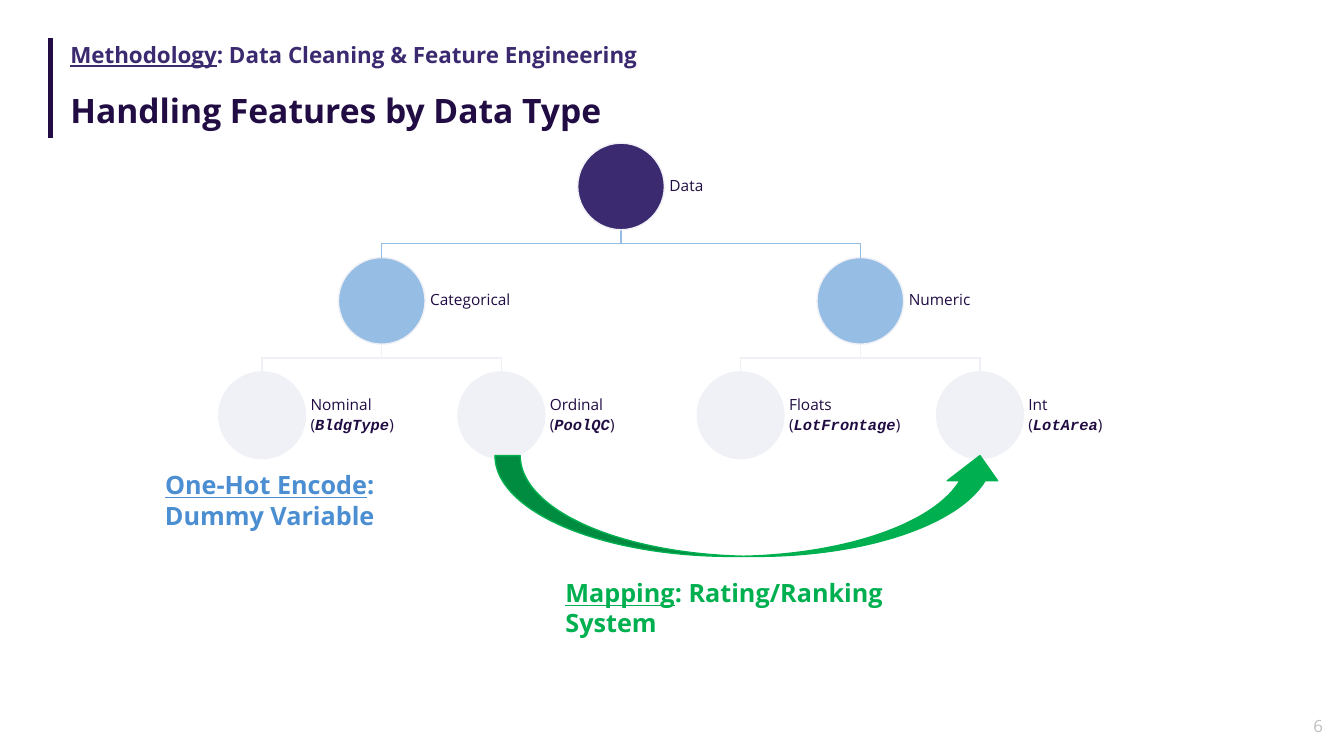
from dataclasses import dataclass

from lxml.etree import SubElement
from pptx import Presentation
from pptx.dml.color import RGBColor
from pptx.enum.shapes import MSO_CONNECTOR, MSO_SHAPE
from pptx.enum.text import MSO_ANCHOR, PP_ALIGN
from pptx.oxml.ns import qn
from pptx.util import Inches, Pt


@dataclass(frozen=True)
class Theme:
    ink: str = "210D43"
    purple: str = "3C2A70"
    sky: str = "96BDE4"
    mist: str = "F0F1F7"
    blue: str = "4B8ED1"
    green: str = "00B050"
    gray: str = "BFBFBF"
    font: str = "Open Sans"
    code_font: str = "Courier New"
    title_size: int = 24
    callout_size: int = 18
    section_size: int = 16
    number_size: int = 12
    label_size: int = 11


@dataclass(frozen=True)
class Box:
    left: float
    top: float
    width: float
    height: float

    def lengths(self):
        return [Inches(value) for value in (self.left, self.top, self.width, self.height)]


THEME = Theme()
UNDERLINE = {"underline": True}
CODE = {"name": THEME.code_font, "bold": True, "italic": True}
TREE = ("Data", None, [
    ("Categorical", None, [("Nominal", "BldgType", []), ("Ordinal", "PoolQC", [])]),
    ("Numeric", None, [("Floats", "LotFrontage", []), ("Int", "LotArea", [])]),
])
LEVEL_COLORS = (THEME.purple, THEME.sky, THEME.mist)
NODE_SIZE = 0.86
LABEL_WIDTH = 1.29


def add_text(slide, box, paragraphs, size, color, bold=False, align=PP_ALIGN.LEFT,
             anchor=MSO_ANCHOR.TOP, line_spacing=1.0, space_after=0, inset=None):
    shape = slide.shapes.add_textbox(*box.lengths())
    frame = shape.text_frame
    frame.word_wrap = True
    frame.vertical_anchor = anchor
    if inset is not None:
        frame.margin_left = frame.margin_right = Inches(inset)
        frame.margin_top = frame.margin_bottom = Inches(inset)
    for index, runs in enumerate(paragraphs):
        paragraph = frame.add_paragraph() if index else frame.paragraphs[0]
        paragraph.alignment = align
        paragraph.line_spacing = line_spacing
        paragraph.space_after = Pt(space_after)
        for text, changes in runs:
            run = paragraph.add_run()
            run.text = text
            run.font.name = changes.get("name", THEME.font)
            run.font.size = Pt(size)
            run.font.bold = changes.get("bold", bold)
            run.font.italic = changes.get("italic", False)
            run.font.underline = changes.get("underline", False)
            run.font.color.rgb = RGBColor.from_string(color)


def paint(shape, line, fill=None):
    shape.shadow.inherit = False
    if fill:
        shape.fill.solid()
        shape.fill.fore_color.rgb = RGBColor.from_string(fill)
    else:
        shape.fill.background()
    shape.line.color.rgb = RGBColor.from_string(line)
    shape.line.width = Pt(1)


def add_header(slide, box):
    rule = slide.shapes.add_connector(
        MSO_CONNECTOR.STRAIGHT, Inches(box.left), Inches(box.top),
        Inches(box.left), Inches(box.top + box.height))
    rule.line.color.rgb = RGBColor.from_string(THEME.ink)
    rule.line.width = Pt(3)
    SubElement(rule._element.spPr, qn("a:effectLst"))
    text_left, text_width = box.left + 0.1, box.width - 0.1
    add_text(slide, Box(text_left, box.top + 0.01, text_width, 0.43),
             [[("Methodology", UNDERLINE), (": Data Cleaning & Feature Engineering", {})]],
             THEME.section_size, THEME.purple, bold=True, line_spacing=0.9)
    add_text(slide, Box(text_left, box.top + 0.48, text_width, 0.51),
             [[("Handling Features by Data Type", {})]],
             THEME.title_size, THEME.ink, bold=True, anchor=MSO_ANCHOR.MIDDLE, line_spacing=0.9)


def add_branch(slide, parent, child, color):
    start_x, start_y = parent.left + NODE_SIZE / 2, parent.top + NODE_SIZE
    end_x, end_y = child.left + NODE_SIZE / 2, child.top
    middle_y = (start_y + end_y) / 2
    builder = slide.shapes.build_freeform(Inches(start_x), Inches(start_y))
    corners = [(start_x, middle_y), (end_x, middle_y), (end_x, end_y)]
    builder.add_line_segments([(Inches(x), Inches(y)) for x, y in corners], close=False)
    paint(builder.convert_to_shape(), color)


def add_node(slide, box, name, feature, color):
    circle = slide.shapes.add_shape(MSO_SHAPE.OVAL, *box.lengths())
    paint(circle, THEME.mist, color)
    paragraphs = [[(name, {})]]
    if feature:
        paragraphs.append([("(", {}), (feature, CODE), (")", {})])
    add_text(slide, Box(box.left + NODE_SIZE, box.top, LABEL_WIDTH, NODE_SIZE), paragraphs,
             THEME.label_size, THEME.ink, anchor=MSO_ANCHOR.MIDDLE,
             line_spacing=0.9, space_after=2, inset=0.05)


def count_leaves(node):
    return sum(map(count_leaves, node[2])) or 1


def add_tree(slide, box, root):
    column_gap = (box.width - NODE_SIZE - LABEL_WIDTH) / (count_leaves(root) - 1)
    row_gap = (box.height - NODE_SIZE) / (len(LEVEL_COLORS) - 1)

    def place(node, first_leaf, level):
        name, feature, children = node
        left = box.left + column_gap * (first_leaf + (count_leaves(node) - 1) / 2)
        node_box = Box(left, box.top + row_gap * level, NODE_SIZE, NODE_SIZE)
        for child in children:
            child_box = place(child, first_leaf, level + 1)
            add_branch(slide, node_box, child_box, LEVEL_COLORS[level + 1])
            first_leaf += count_leaves(child)
        add_node(slide, node_box, name, feature, LEVEL_COLORS[level])
        return node_box

    place(root, 0, 0)


def add_encoding_note(slide, box):
    add_text(slide, box, [[("One-Hot Encode", UNDERLINE), (": Dummy Variable", {})]],
             THEME.callout_size, THEME.blue, bold=True, align=PP_ALIGN.CENTER)


def add_mapping(slide, box):
    arrow = slide.shapes.add_shape(
        MSO_SHAPE.CURVED_UP_ARROW, *Box(box.left, box.top, box.width, 1).lengths())
    paint(arrow, THEME.green, THEME.green)
    add_text(slide, Box(box.left + 0.6, box.top + 1.16, 4.26, box.height - 1.16),
             [[("Mapping", UNDERLINE), (": Rating/Ranking System", {})]],
             THEME.callout_size, THEME.green, bold=True)


def add_slide_number(slide, box):
    add_text(slide, box, [[("6", {})]], THEME.number_size, THEME.gray,
             align=PP_ALIGN.RIGHT, anchor=MSO_ANCHOR.MIDDLE)


def main():
    presentation = Presentation()
    presentation.slide_width = Inches(13.33)
    presentation.slide_height = Inches(7.5)
    slide = presentation.slides.add_slide(presentation.slide_layouts[6])
    add_header(slide, Box(0.5, 0.38, 11.6, 0.99))
    add_slide_number(slide, Box(12.72, 7.01, 0.5, 0.38))
    add_tree(slide, Box(2.17, 1.42, 9.27, 3.13), TREE)
    add_mapping(slide, Box(4.91, 4.52, 5.06, 1.86))
    add_encoding_note(slide, Box(1.52, 4.61, 2.31, 0.71))
    presentation.save("out.pptx")


if __name__ == "__main__":
    main()
